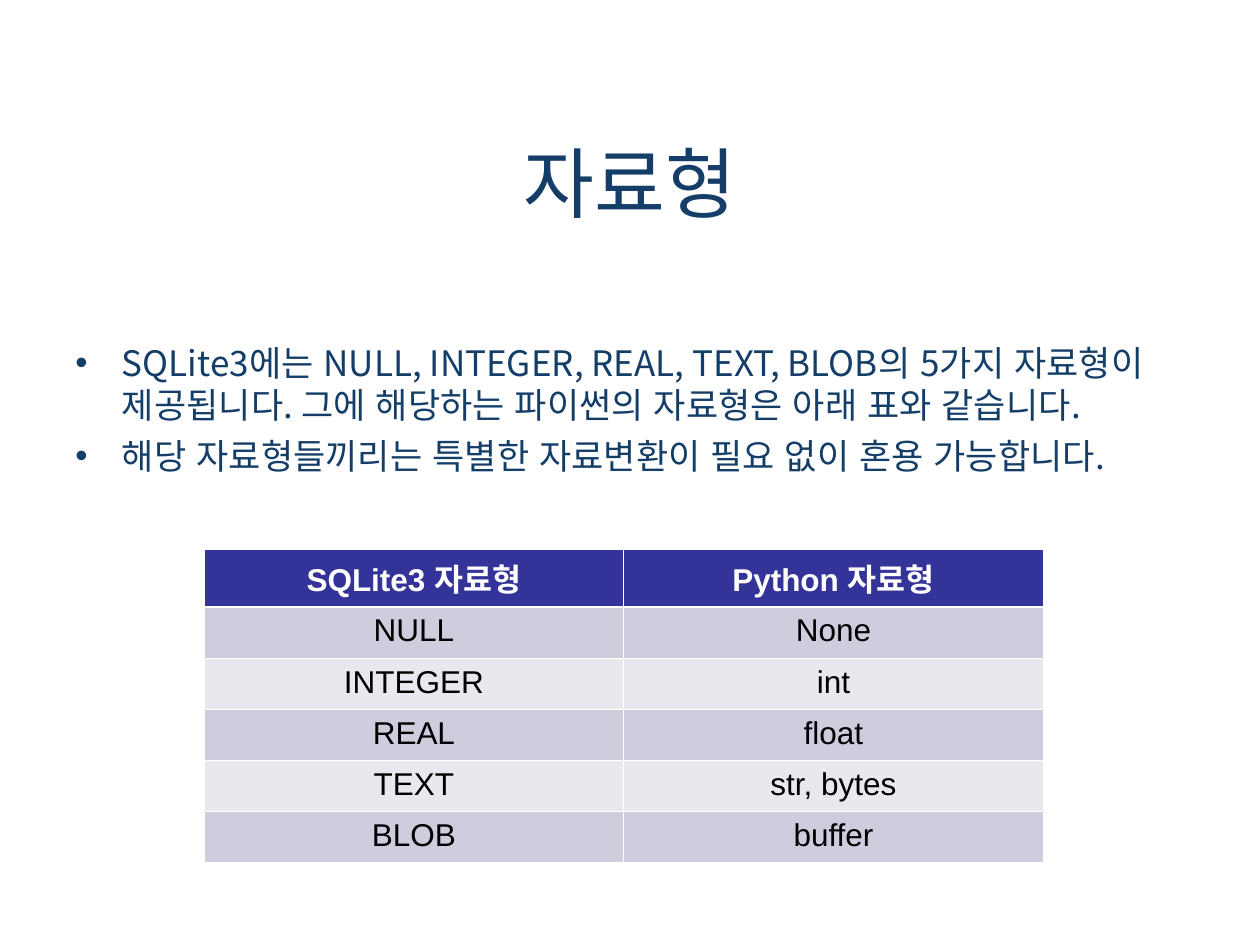
"""Build a slide comparing SQLite3 and Python data types."""
import pptx
import pptx.dml.color
import pptx.enum.text
import pptx.oxml
import pptx.oxml.ns
import pptx.util
import lxml.etree

W, H = pptx.util.Inches(10), pptx.util.Inches(7.5)
KOREAN = "Noto Sans CJK KR"
NAVY, WHITE = "143D68", "FFFFFF"
CENTER = pptx.enum.text.PP_ALIGN.CENTER


def rgb(value):
    """Turn a hex string into a colour."""
    return pptx.dml.color.RGBColor.from_string(value)


def style(p, size, face, color, bold=False, asian=KOREAN):
    """Set the font of a whole paragraph."""
    p.font.size, p.font.name, p.font.bold = pptx.util.Pt(size), face, bold
    p.font.color.rgb = rgb(color)
    ea = lxml.etree.SubElement(p.font._element, pptx.oxml.ns.qn("a:ea"), typeface=asian)
    p.font._element.find(pptx.oxml.ns.qn("a:latin")).addnext(ea)


prs = pptx.Presentation()
prs.slide_width, prs.slide_height = W, H
s = prs.slides.add_slide(prs.slide_layouts[5])

title = s.shapes.title
title.left, title.top = int(W * 0.05), int(H * 0.109)
title.width, title.height = int(W * 0.9), int(H * 0.167)
title.text_frame.vertical_anchor = pptx.enum.text.MSO_ANCHOR.MIDDLE
p = title.text_frame.paragraphs[0]
p.text, p.alignment = "자료형", CENTER
style(p, 44, KOREAN, NAVY)

body = s.shapes.add_textbox(int(W * 0.05), int(H * 0.355), int(W * 0.89), int(H * 0.615))
tf = body.text_frame
tf.word_wrap = True
points = [
    "SQLite3에는 NULL, INTEGER, REAL, TEXT, BLOB의 5가지 자료형이 제공됩니다. "
    "그에 해당하는 파이썬의 자료형은 아래 표와 같습니다.",
    "해당 자료형들끼리는 특별한 자료변환이 필요 없이 혼용 가능합니다.",
]
indent = pptx.util.Inches(0.37)
for i, text in enumerate(points):
    p = tf.add_paragraph() if i else tf.paragraphs[0]
    p.text, p.space_before = text, pptx.util.Pt(5)
    style(p, 20, KOREAN, NAVY, asian="Arial")
    pPr = p._p.get_or_add_pPr()
    pPr.set("marL", str(indent))
    pPr.set("indent", str(-indent))
    defRPr = pPr.find(pptx.oxml.ns.qn("a:defRPr"))
    for bullet in ('buFont {} typeface="Arial"', 'buChar {} char="•"'):
        defRPr.addprevious(pptx.oxml.parse_xml(f'<a:{bullet.format(pptx.oxml.ns.nsdecls("a"))}/>'))

rows = [
    ("SQLite3 자료형", "Python 자료형"),
    ("NULL", "None"),
    ("INTEGER", "int"),
    ("REAL", "float"),
    ("TEXT", "str, bytes"),
    ("BLOB", "buffer"),
]
table = s.shapes.add_table(len(rows), 2, int(W * 0.162), int(H * 0.581),
                           int(W * 0.666), int(H * 0.325)).table
table.rows[0].height = pptx.util.Inches(0.46)
for r, row in enumerate(rows):
    for c, text in enumerate(row):
        cell = table.cell(r, c)
        cell.fill.solid()
        cell.fill.fore_color.rgb = rgb("333399" if r == 0 else "CDCDDE" if r % 2 else "E8E8EF")
        p = cell.text_frame.paragraphs[0]
        p.text, p.alignment = text, CENTER
        style(p, 18, "Arial", "000000" if r else WHITE, r == 0)
        heavy = {0: "B", 1: "T"}.get(r)
        tcPr = cell._tc.get_or_add_tcPr()
        for i, side in enumerate("LRTB"):
            width = pptx.util.Pt(1.47 if side == heavy else 0.45)
            tcPr.insert(i, pptx.oxml.parse_xml(
                f'<a:ln{side} {pptx.oxml.ns.nsdecls("a")} w="{width}"><a:solidFill>'
                f'<a:srgbClr val="{WHITE}"/></a:solidFill></a:ln{side}>'))

prs.save("out.pptx")
